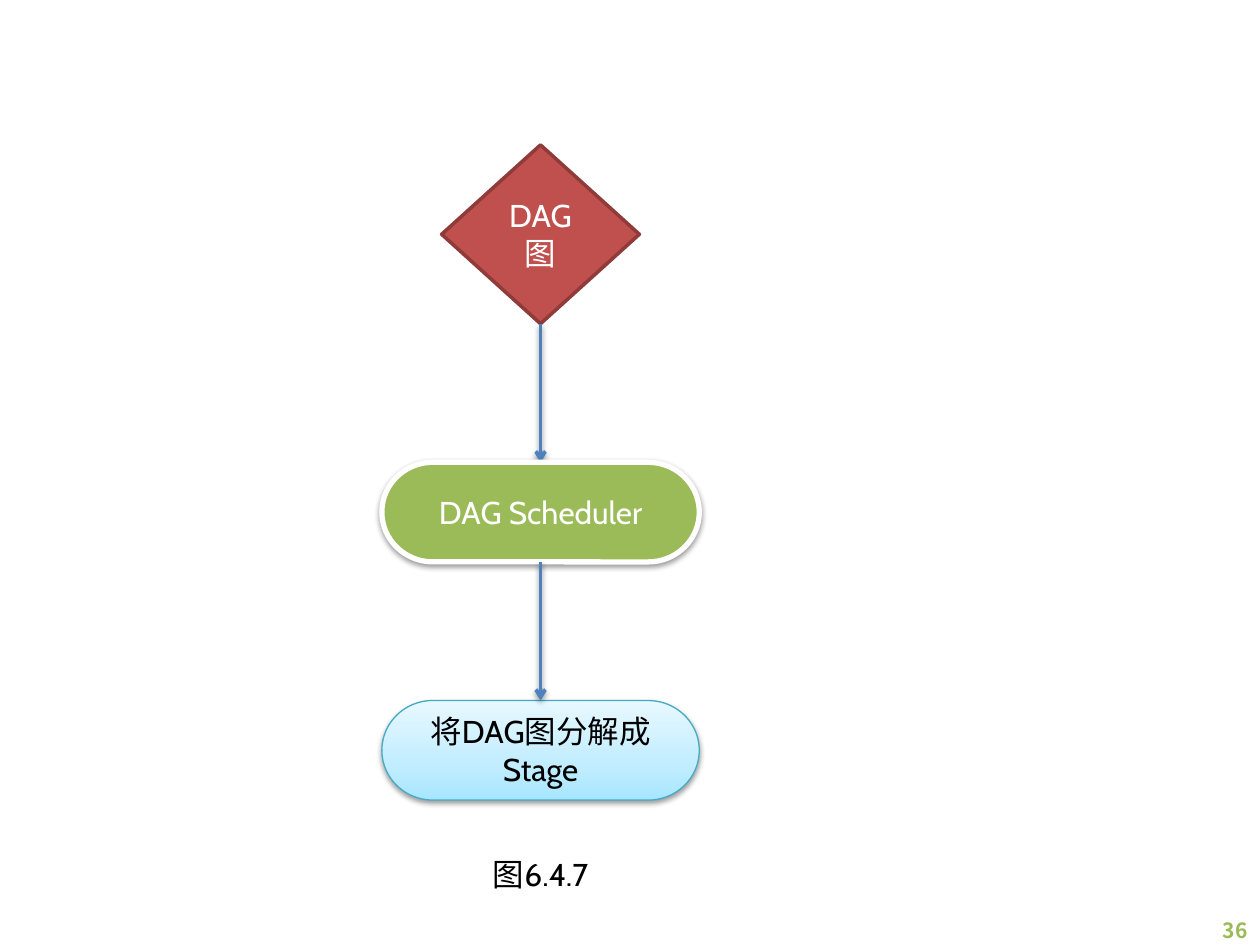
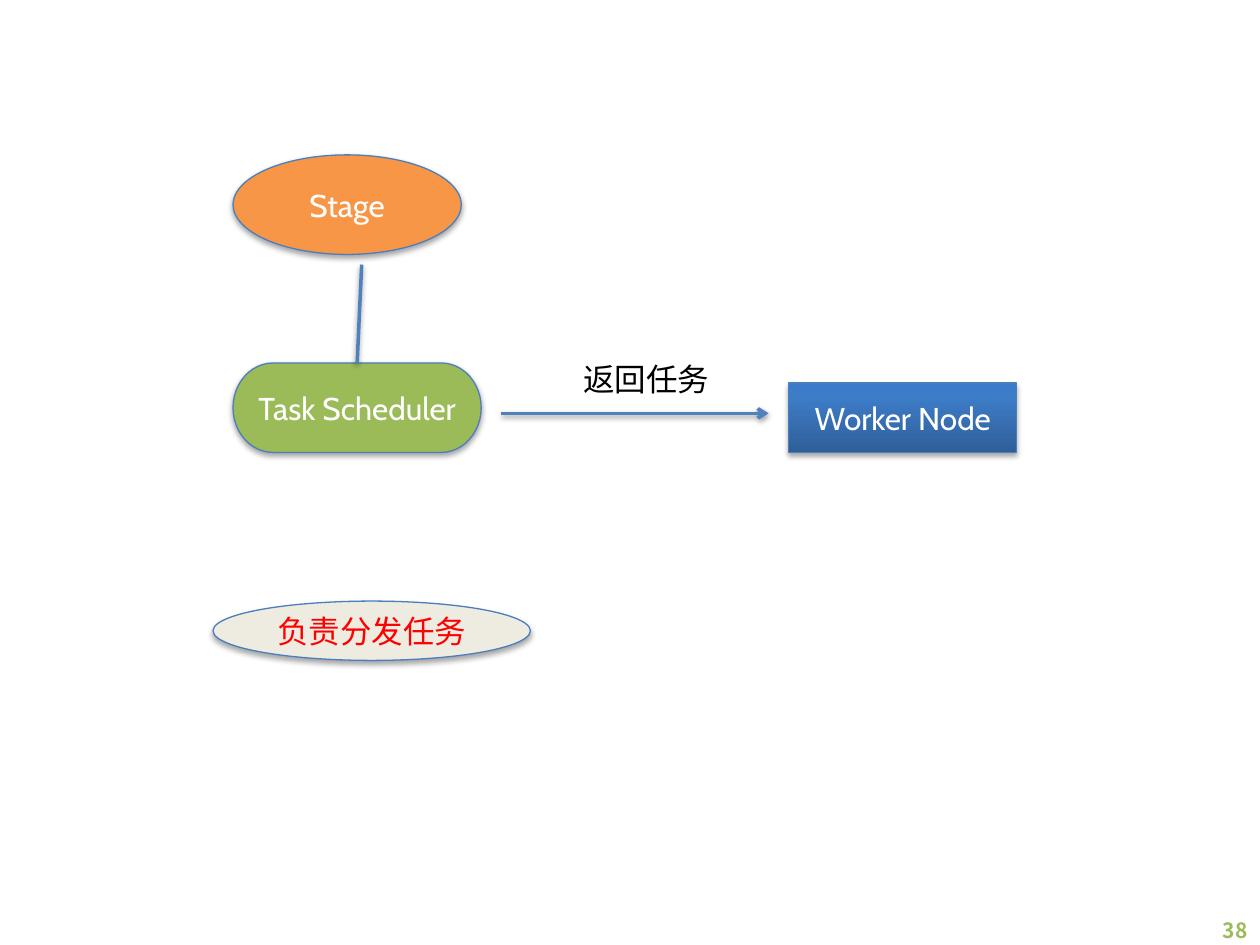
from dataclasses import dataclass
from typing import Optional

from lxml import etree
from pptx import Presentation
from pptx.dml.color import RGBColor
from pptx.enum.shapes import MSO_CONNECTOR, MSO_SHAPE
from pptx.enum.text import MSO_ANCHOR, MSO_AUTO_SIZE, PP_ALIGN
from pptx.oxml import parse_xml
from pptx.oxml.ns import nsdecls, qn
from pptx.util import Pt

# Shared look
BODY_FONT = "Cabin"
NUMBER_FONT = "Noto Sans CJK SC"
WHITE = RGBColor(0xFF, 0xFF, 0xFF)
BLACK = RGBColor(0x00, 0x00, 0x00)
RED = RGBColor(0xFF, 0x00, 0x00)
BRICK = RGBColor(0xC0, 0x50, 0x4D)
DARK_BRICK = RGBColor(0x8E, 0x3B, 0x39)
GREEN = RGBColor(0x9B, 0xBB, 0x59)
ORANGE = RGBColor(0xF7, 0x96, 0x46)
CREAM = RGBColor(0xEE, 0xEC, 0xE1)
TEAL = RGBColor(0x46, 0xAA, 0xC5)
OUTLINE_BLUE = RGBColor(0x4B, 0x7E, 0xBC)
ARROW_BLUE = RGBColor(0x4F, 0x81, 0xBD)


@dataclass(frozen=True)
class Shadow:
    alpha: int
    distance: float
    blur: float = 3.15


@dataclass(frozen=True)
class Gradient:
    """Colour stops (percent, colour), running from bottom to top."""
    stops: tuple[tuple[int, RGBColor], ...]


STRONG_SHADOW = Shadow(38, 1.6)
SOFT_SHADOW = Shadow(35, 1.8)
PALE_SKY = Gradient(((0, RGBColor(0xA7, 0xE6, 0xFF)),
                     (35, RGBColor(0xC1, 0xED, 0xFF)),
                     (100, RGBColor(0xE7, 0xF8, 0xFF))))
DEEP_BLUE = Gradient(((0, RGBColor(0x2F, 0x5F, 0x99)),
                      (80, RGBColor(0x3D, 0x7C, 0xC7)),
                      (100, RGBColor(0x3A, 0x7C, 0xCB))))


@dataclass(frozen=True)
class Node:
    text: str
    kind: MSO_SHAPE
    left: float
    top: float
    width: float
    height: float
    fill: RGBColor | Gradient
    text_color: RGBColor = WHITE
    line: RGBColor = OUTLINE_BLUE
    line_width: float = 0.75
    shadow: Optional[Shadow] = SOFT_SHADOW


def write_text(frame, text: str, size: float, color: RGBColor,
               align: PP_ALIGN, font: str = BODY_FONT, bold: bool = False) -> None:
    frame.word_wrap = True
    paragraph = frame.paragraphs[0]
    paragraph.text = text
    paragraph.alignment = align
    paragraph.font.name = font
    paragraph.font.size = Pt(size)
    paragraph.font.bold = bold
    paragraph.font.color.rgb = color


def add_shadow(effects, shadow: Shadow) -> None:
    effects.append(parse_xml(
        f'<a:outerShdw {nsdecls("a")} blurRad="{Pt(shadow.blur)}" '
        f'dist="{Pt(shadow.distance)}" dir="5400000" rotWithShape="0">'
        f'<a:srgbClr val="000000"><a:alpha val="{shadow.alpha * 1000}"/>'
        f'</a:srgbClr></a:outerShdw>'))


def fill_gradient(shape, gradient: Gradient) -> None:
    shape.fill.gradient()
    shape.fill.gradient_angle = 90
    stop_list = shape._element.spPr.find(qn("a:gradFill")).find(qn("a:gsLst"))
    for stop in list(stop_list):
        stop_list.remove(stop)
    for percent, color in gradient.stops:
        stop = etree.SubElement(stop_list, qn("a:gs"), pos=str(percent * 1000))
        etree.SubElement(stop, qn("a:srgbClr"), val=str(color))


def add_node(slide, node: Node):
    shape = slide.shapes.add_shape(node.kind, Pt(node.left), Pt(node.top),
                                   Pt(node.width), Pt(node.height))
    if isinstance(node.fill, Gradient):
        fill_gradient(shape, node.fill)
    else:
        shape.fill.solid()
        shape.fill.fore_color.rgb = node.fill
    shape.line.color.rgb = node.line
    shape.line.width = Pt(node.line_width)
    shape.shadow.inherit = False
    if node.shadow:
        add_shadow(shape._element.spPr.find(qn("a:effectLst")), node.shadow)
    shape.text_frame.vertical_anchor = MSO_ANCHOR.MIDDLE
    write_text(shape.text_frame, node.text, 18, node.text_color, PP_ALIGN.CENTER)
    return shape


def add_line(slide, begin: tuple[float, float] = (0, 0),
             end: tuple[float, float] = (0, 0), arrow: bool = True):
    connector = slide.shapes.add_connector(
        MSO_CONNECTOR.STRAIGHT, *(Pt(value) for value in begin + end))
    connector.line.color.rgb = ARROW_BLUE
    connector.line.width = Pt(2)
    properties = connector._element.spPr
    if arrow:
        etree.SubElement(properties.find(qn("a:ln")), qn("a:tailEnd"), type="arrow")
    add_shadow(etree.SubElement(properties, qn("a:effectLst")), STRONG_SHADOW)
    return connector


def add_label(slide, text: str, left: float, top: float, width: float,
              height: float, align: PP_ALIGN = PP_ALIGN.LEFT, size: float = 18,
              color: RGBColor = BLACK, font: str = BODY_FONT,
              bold: bool = False) -> None:
    box = slide.shapes.add_textbox(Pt(left), Pt(top), Pt(width), Pt(height))
    write_text(box.text_frame, text, size, color, align, font, bold)
    box.text_frame.auto_size = MSO_AUTO_SIZE.SHAPE_TO_FIT_TEXT


def add_numbered_slide(presentation, number: int):
    slide = presentation.slides.add_slide(presentation.slide_layouts[6])
    add_label(slide, str(number), 689, 520.5, 31, 21.6, PP_ALIGN.RIGHT, 12,
              GREEN, NUMBER_FONT, True)
    return slide


def build_dag_slide(presentation) -> None:
    slide = add_numbered_slide(presentation, 36)
    center = 308.9

    # Flow from graph to stages, centred on one axis
    step_width, step_height = 181.4, 56.9
    step_left = center - step_width / 2
    graph_width = 113
    flow = [
        Node("DAG图", MSO_SHAPE.DIAMOND, center - graph_width / 2, 82.8,
             graph_width, 102.2, BRICK, line=DARK_BRICK, line_width=2, shadow=None),
        Node("DAG Scheduler", MSO_SHAPE.FLOWCHART_TERMINATOR, step_left, 264.2,
             step_width, step_height, GREEN, line=WHITE, line_width=3,
             shadow=STRONG_SHADOW),
        Node("将DAG图分解成Stage", MSO_SHAPE.FLOWCHART_TERMINATOR, step_left, 400.3,
             step_width, step_height, PALE_SKY, text_color=BLACK, line=TEAL,
             shadow=STRONG_SHADOW),
    ]
    shapes = [add_node(slide, node) for node in flow]
    arrows = []
    for upper, lower in zip(shapes, shapes[1:]):
        arrow = add_line(slide)
        arrow.begin_connect(upper, 2)
        arrow.end_connect(lower, 0)
        arrows.append(arrow)

    # The scheduler's white outline covers the first arrow tip
    shapes[1]._element.addprevious(arrows[0]._element)

    # Caption
    caption_width = 147.6
    add_label(slide, "图6.4.7", center - caption_width / 2, 485.3,
              caption_width, 28.8, PP_ALIGN.CENTER)


def build_task_slide(presentation) -> None:
    slide = add_numbered_slide(presentation, 38)

    # Nodes
    add_node(slide, Node("Stage", MSO_SHAPE.OVAL, 133.2, 88.5, 130.4, 56.9, ORANGE))
    scheduler = add_node(slide, Node(
        "Task Scheduler", MSO_SHAPE.FLOWCHART_TERMINATOR,
        133.2, 207.4, 141.8, 51.1, GREEN))
    add_node(slide, Node("负责分发任务", MSO_SHAPE.OVAL, 121.7, 343.5,
                         181.4, 33.9, CREAM, text_color=RED))

    # Links
    add_line(slide, (286.5, 236.2), (439.2, 236.2))
    stage_link = add_line(slide, (206.7, 151.2), arrow=False)
    stage_link.end_connect(scheduler, 0)

    # Worker and the returned task
    add_node(slide, Node("Worker Node", MSO_SHAPE.RECTANGLE, 450.7, 218.9,
                         130.4, 39.6, DEEP_BLUE))
    add_label(slide, "返回任务", 326.2, 202.3, 96.5, 28.8)


def main() -> None:
    presentation = Presentation()
    presentation.slide_width, presentation.slide_height = Pt(720), Pt(540)
    build_dag_slide(presentation)
    build_task_slide(presentation)
    presentation.save("out.pptx")


if __name__ == "__main__":
    main()
